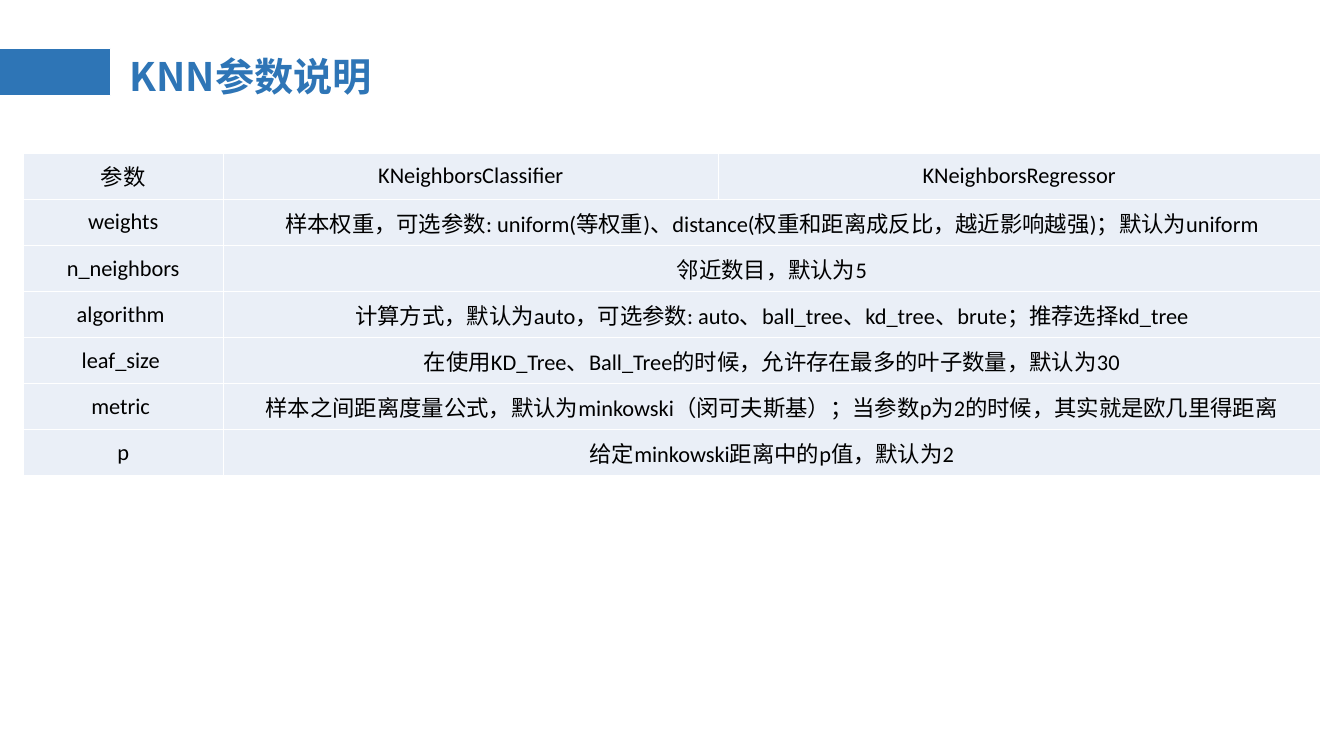
import pptx
import pptx.util
import pptx.dml.color
import pptx.enum.shapes
import pptx.enum.text
import pptx.oxml
import pptx.oxml.ns

Cm = pptx.util.Cm
Pt = pptx.util.Pt
COLORS = {"accent": "2E75B6", "cell": "EAEFF7", "white": "FFFFFF", "text": "000000"}
CJK_FONT = "Noto Sans CJK SC"
HEADER = ["参数", "KNeighborsClassifier", "KNeighborsRegressor"]
PARAMETERS = [
    ("weights", "样本权重，可选参数: uniform(等权重)、distance(权重和距离成反比，越近影响越强)；默认为uniform"),
    ("n_neighbors", "邻近数目，默认为5"),
    ("algorithm ", "计算方式，默认为auto，可选参数: auto、ball_tree、kd_tree、brute；推荐选择kd_tree"),
    ("leaf_size ", "在使用KD_Tree、Ball_Tree的时候，允许存在最多的叶子数量，默认为30"),
    ("metric ", "样本之间距离度量公式，默认为minkowski（闵可夫斯基）；当参数p为2的时候，其实就是欧几里得距离"),
    ("p", "给定minkowski距离中的p值，默认为2"),
]


def rgb(name):
    return pptx.dml.color.RGBColor.from_string(COLORS[name])


def add_run(paragraph, text, size, font, color, bold=False):
    run = paragraph.add_run()
    run.text = text
    run.font.size = Pt(size)
    run.font.name = font
    run.font.bold = bold
    run.font.color.rgb = rgb(color)
    east_asian = pptx.oxml.parse_xml(
        f'<a:ea {pptx.oxml.ns.nsdecls("a")} typeface="{CJK_FONT}"/>')
    run.font._element.find(pptx.oxml.ns.qn("a:latin")).addnext(east_asian)


def add_borders(cell):
    properties = cell._tc.get_or_add_tcPr()
    for index, side in enumerate(("lnL", "lnR", "lnT", "lnB")):
        properties.insert(index, pptx.oxml.parse_xml(
            f'<a:{side} {pptx.oxml.ns.nsdecls("a")} w="12700"><a:solidFill>'
            f'<a:srgbClr val="{COLORS["white"]}"/></a:solidFill></a:{side}>'))


def add_heading(slide, left, top, width, height):
    marker = slide.shapes.add_shape(
        pptx.enum.shapes.MSO_SHAPE.RECTANGLE, left, top + Cm(0.76), Cm(2.79), Cm(1.19))
    marker.shadow.inherit = False
    marker.fill.solid()
    marker.fill.fore_color.rgb = rgb("accent")
    marker.line.color.rgb = rgb("white")
    marker.line.width = Pt(0.75)

    indent = Cm(3.02)
    title = slide.shapes.add_textbox(left + indent, top, width - indent, height).text_frame
    title.word_wrap = True
    title.vertical_anchor = pptx.enum.text.MSO_ANCHOR.MIDDLE
    title.paragraphs[0].line_spacing = 0.9
    add_run(title.paragraphs[0], "KNN参数说明", 28, CJK_FONT, "accent", True)


def add_parameter_table(slide, left, top, width, height):
    rows = [HEADER] + [[name, meaning, ""] for name, meaning in PARAMETERS]
    table = slide.shapes.add_table(len(rows), len(HEADER), left, top, width, height).table
    table.first_row = False
    table.horz_banding = False
    name_width, classifier_width = Cm(5.05), Cm(12.47)
    widths = (name_width, classifier_width, width - name_width - classifier_width)
    for column, column_width in zip(table.columns, widths):
        column.width = column_width

    for row_index, row in enumerate(rows):
        for column_index, text in enumerate(row):
            cell = table.cell(row_index, column_index)
            cell.fill.solid()
            cell.fill.fore_color.rgb = rgb("cell")
            cell.vertical_anchor = pptx.enum.text.MSO_ANCHOR.MIDDLE
            add_borders(cell)
            if text:
                paragraph = cell.text_frame.paragraphs[0]
                paragraph.alignment = pptx.enum.text.PP_ALIGN.CENTER
                add_run(paragraph, text, 16, "Calibri", "text")
        if row_index > 0:
            table.cell(row_index, 1).merge(table.cell(row_index, 2))


def main():
    deck = pptx.Presentation()
    deck.slide_width, deck.slide_height = Cm(33.87), Cm(19.05)
    slide = deck.slides.add_slide(deck.slide_layouts[6])
    add_heading(slide, Cm(0), Cm(0.46), Cm(32.23), Cm(3.05))
    add_parameter_table(slide, Cm(0.58), Cm(3.86), Cm(32.69), Cm(8.13))
    deck.save("out.pptx")


if __name__ == "__main__":
    main()
